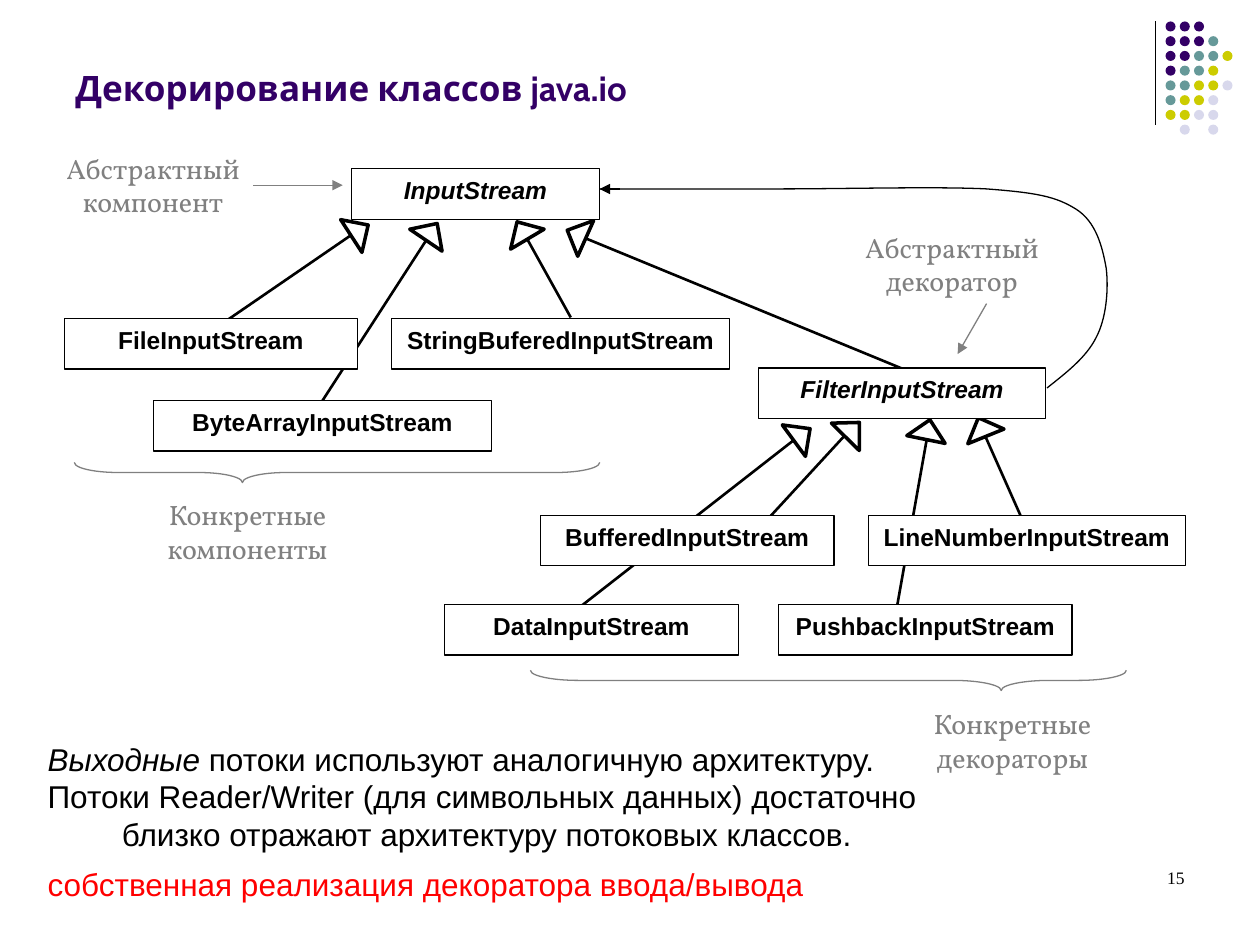
from pptx import Presentation
from pptx.dml.color import RGBColor
from pptx.enum.shapes import MSO_CONNECTOR, MSO_SHAPE
from pptx.enum.text import MSO_ANCHOR, PP_ALIGN
from pptx.oxml.ns import qn
from pptx.util import Inches, Pt
from lxml.etree import SubElement

BLACK = RGBColor(0x00, 0x00, 0x00)
WHITE = RGBColor(0xFF, 0xFF, 0xFF)
GRAY = RGBColor(0x80, 0x80, 0x80)
RED = RGBColor(0xFF, 0x00, 0x00)
PURPLE = RGBColor(0x33, 0x00, 0x66)
TEAL = RGBColor(0x66, 0x99, 0x99)
LIME = RGBColor(0xCC, 0xCC, 0x00)
PALE = RGBColor(0xD8, 0xD8, 0xEC)

# Dot colours, one string a row
DOTS = ["PPP", "PPPT", "PPTTL", "PTTL", "TTLLA", "TLLA", "LLAA", " A A"]
TONES = {"P": PURPLE, "T": TEAL, "L": LIME, "A": PALE}

# Offsets within each tree: nodes are x, y, width; links are the two
# line ends, then left, top and turn of the triangle head
PARTS = {
    "nodes": [("InputStream", 2.28, 0, 1.97), ("FileInputStream", 0, 1.19, 2.33),
              ("StringBuferedInputStream", 2.6, 1.19, 2.68),
              ("ByteArrayInputStream", 0.71, 1.84, 2.68)],
    "links": [(6.71, 1.61, 4.11, 0.54, 3.91, 0.44, 294),
              (2.03, 1.87, 2.89, 0.54, 2.76, 0.42, 34.1),
              (1.12, 1.32, 2.3, 0.51, 2.19, 0.41, 57),
              (4.02, 1.18, 3.67, 0.55, 3.48, 0.41, 329.3)],
    "labels": [("Абстрактный компонент", -0.16, -0.19, 1.73),
               ("Конкретные компоненты", 0.47, 2.56, 1.97)],
    "arrow": (1.5, 0.13, 2.21, 0.13),
    "brace": (0.08, 2.33, 4.17, 2.18, 0.32),
}
DECORS = {
    "nodes": [("FilterInputStream", 2.49, 0, 2.28),
              ("BufferedInputStream", 0.76, 1.17, 2.33),
              ("LineNumberInputStream", 3.36, 1.17, 2.52),
              ("DataInputStream", 0, 1.88, 2.33),
              ("PushbackInputStream", 2.65, 1.88, 2.33)],
    "links": [(2.37, 1.41, 3.19, 0.52, 3.08, 0.41, 44.5),
              (0.98, 1.97, 2.8, 0.55, 2.68, 0.45, 53.6),
              (4.64, 1.33, 4.28, 0.52, 4.11, 0.39, 337.9),
              (3.56, 2.06, 3.83, 0.54, 3.68, 0.41, 11.5)],
    "labels": [("Абстрактный декоратор", 3.04, -1.14, 1.97),
               ("Конкретные декораторы", 3.52, 2.64, 1.97)],
    "arrow": (4.3, -0.51, 4.07, -0.11),
    "brace": (0.68, 2.4, 4.73, 2.4, 0.79),
}

# Loop from decorator to component: start, then control, control, end
LOOP = [(3.55, 1.6), (3.7, 1.48), (3.86, 1.36), (3.94, 1.2),
        (4.02, 1.05), (4.04, 0.82), (4.02, 0.65),
        (3.99, 0.48), (3.94, 0.28), (3.78, 0.18),
        (3.62, 0.08), (3.47, 0.05), (3.07, 0.02),
        (2.68, 0), (1.93, 0.02), (1.42, 0.02),
        (0.91, 0.02), (0.45, 0.02), (0, 0.02)]


def add_run(para, text, font, size, color, bold=False, italic=False):
    run = para.add_run()
    run.text = text
    face = run.font
    face.name, face.size, face.bold, face.italic = font, Pt(size), bold, italic
    face.color.rgb = color


def add_text(slide, x, y, w, h, anchor=MSO_ANCHOR.TOP, wrap=True):
    frame = slide.shapes.add_textbox(Inches(x), Inches(y), Inches(w), Inches(h)).text_frame
    frame.word_wrap, frame.vertical_anchor = wrap, anchor
    return frame


def add_shape(slide, kind, x, y, w, h, fill=None, line=None, width=0.75):
    shape = slide.shapes.add_shape(kind, Inches(x), Inches(y), Inches(w), Inches(h))
    paint(shape, fill, line, width)
    return shape


def paint(shape, fill, line, width=0.75):
    shape.shadow.inherit = False
    if fill is None:
        shape.fill.background()
    else:
        shape.fill.solid()
        shape.fill.fore_color.rgb = fill
    if line is None:
        shape.line.fill.background()
    else:
        shape.line.color.rgb = line
        shape.line.width = Pt(width)


def add_line(slide, x1, y1, x2, y2, color=BLACK, width=0.75, tip=False):
    line = slide.shapes.add_connector(MSO_CONNECTOR.STRAIGHT, Inches(x1), Inches(y1),
                                      Inches(x2), Inches(y2))
    line.line.color.rgb = color
    line.line.width = Pt(width)
    if tip:
        SubElement(line.line._get_or_add_ln(), qn("a:tailEnd"), type="triangle")
    SubElement(line._element.spPr, qn("a:effectLst"))


def add_dots(slide, x, y):
    add_line(slide, x, y, x, y + 0.82)
    for row, marks in enumerate(DOTS):
        for col, mark in enumerate(marks):
            if mark in TONES:
                add_shape(slide, MSO_SHAPE.OVAL, x + 0.08 + col * 0.113,
                          y + row * 0.117, 0.08, 0.08, TONES[mark])


def add_title(slide, x, y, w, h):
    frame = add_text(slide, x, y, w, h, MSO_ANCHOR.BOTTOM)
    add_run(frame.paragraphs[0], "Декорирование классов java.io", "Cabin", 20, PURPLE, bold=True)


def add_tree(slide, x, y, tree):
    # Grey labels
    for text, dx, dy, w in tree["labels"]:
        para = add_text(slide, x + dx, y + dy, w, 0.64).paragraphs[0]
        para.alignment = PP_ALIGN.CENTER
        add_run(para, text, "Vollkorn", 16, GRAY)
    # Inheritance lines with hollow heads
    for x1, y1, x2, y2, dx, dy, turn in tree["links"]:
        add_line(slide, x + x1, y + y1, x + x2, y + y2, width=1.5)
        head = add_shape(slide, MSO_SHAPE.ISOSCELES_TRIANGLE, x + dx, y + dy,
                         0.31, 0.16, WHITE, BLACK, 2)
        head.rotation = turn
    # Class boxes, the abstract root first
    for rank, (name, dx, dy, w) in enumerate(tree["nodes"]):
        node = add_shape(slide, MSO_SHAPE.RECTANGLE, x + dx, y + dy, w, 0.4, WHITE, BLACK)
        frame = node.text_frame
        frame.word_wrap, frame.vertical_anchor = False, MSO_ANCHOR.TOP
        para = frame.paragraphs[0]
        para.alignment = PP_ALIGN.CENTER
        add_run(para, name, "Arial", 14, BLACK, bold=True, italic=rank == 0)
    # Pointer to the root
    x1, y1, x2, y2 = tree["arrow"]
    add_line(slide, x + x1, y + y1, x + x2, y + y2, GRAY, tip=True)
    # Brace turned to point down
    dx, dy, span, bend, point = tree["brace"]
    brace = add_shape(slide, MSO_SHAPE.LEFT_BRACE, x + dx + span / 2 - 0.08,
                      y + dy + 0.08 - span / 2, 0.16, span, line=GRAY)
    brace.adjustments[0], brace.adjustments[1] = bend, point
    brace.rotation = 270


def add_loop(slide, x, y):
    spots = [(Inches(x + dx), Inches(y + dy)) for dx, dy in LOOP]
    pen = slide.shapes.build_freeform(*spots[0])
    pen.add_line_segments(spots[1:], close=False)
    loop = pen.convert_to_shape()
    paint(loop, None, BLACK)
    # Join each three straight steps into one curve
    steps = list(loop._element.iter(qn("a:lnTo")))
    track = steps[0].getparent()
    for first in range(0, len(steps), 3):
        curve = SubElement(track, qn("a:cubicBezTo"))
        for step in steps[first:first + 3]:
            curve.append(step[0])
            track.remove(step)
    add_line(slide, x + 0.16, y + 0.02, x, y + 0.02, tip=True)


def add_notes(slide, x, y):
    frame = add_text(slide, x, y, 7.56, 1, MSO_ANCHOR.MIDDLE)
    first, second = frame.paragraphs[0], frame.add_paragraph()
    for para in (first, second):
        props = para._p.get_or_add_pPr()
        props.set("marL", str(Inches(0.59)))
        props.set("indent", str(-Inches(0.59)))
    add_run(first, "Выходные ", "Arial", 18, BLACK, italic=True)
    add_run(first, "потоки используют аналогичную архитектуру.", "Arial", 18, BLACK)
    add_run(second, "Потоки Reader/Writer (для символьных данных) достаточно близко "
            "отражают архитектуру потоковых классов.", "Arial", 18, BLACK)
    last = add_text(slide, x, y + 1, 6.22, 0.4, wrap=False).paragraphs[0]
    add_run(last, "собственная реализация декоратора ввода/вывода", "Arial", 18, RED)


def add_page(slide, x, y, w, h):
    para = add_text(slide, x, y, w, h).paragraphs[0]
    para.alignment = PP_ALIGN.RIGHT
    add_run(para, "15", "Times New Roman", 10, BLACK)


def main():
    deck = Presentation()
    deck.slide_width, deck.slide_height = Inches(10), Inches(7.5)
    slide = deck.slides.add_slide(deck.slide_layouts[6])
    add_dots(slide, 9.17, 0.17)
    add_title(slide, 0.5, 0.13, 8.6, 0.78)
    add_tree(slide, 0.51, 1.34, PARTS)
    add_tree(slide, 3.53, 2.92, DECORS)
    add_loop(slide, 4.76, 1.48)
    add_notes(slide, 0.28, 5.82)
    add_page(slide, 7.17, 6.83, 2.33, 0.5)
    deck.save("out.pptx")


if __name__ == "__main__":
    main()
